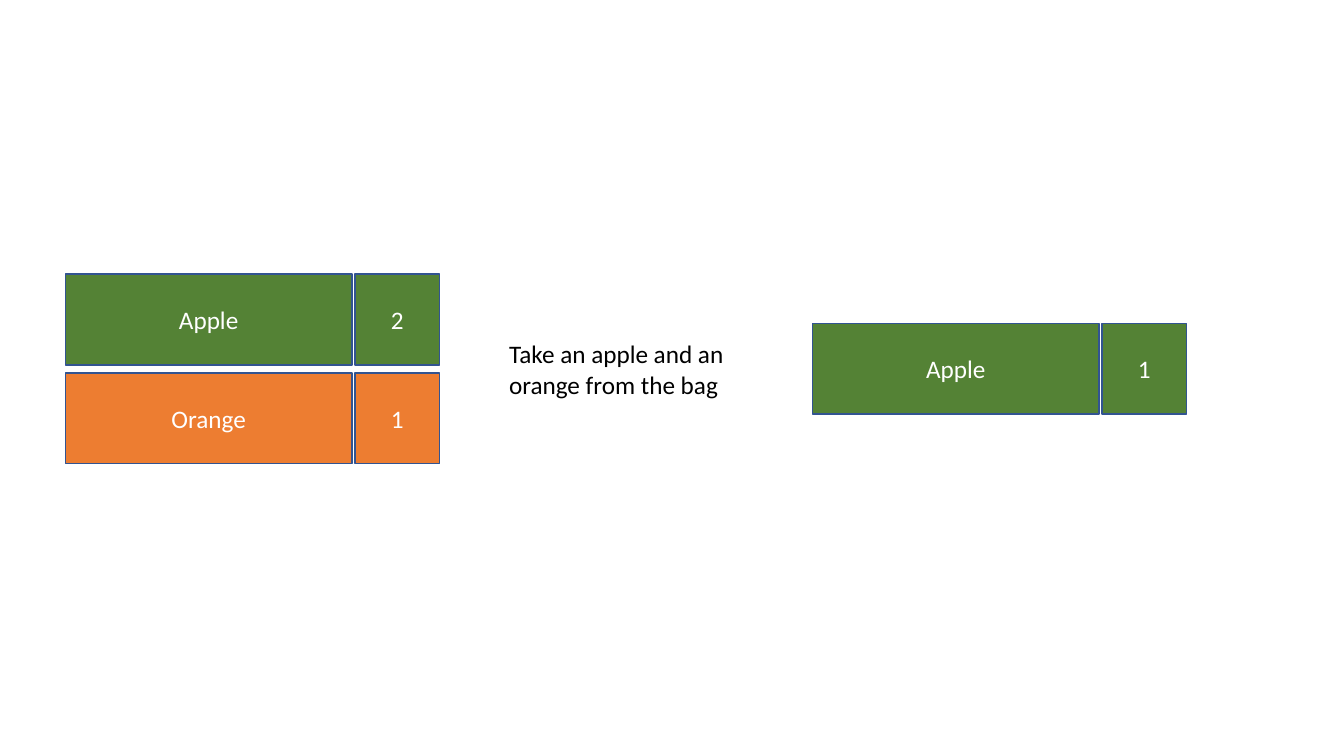
from dataclasses import dataclass
from pptx import Presentation
from pptx.dml.color import RGBColor as Color
from pptx.enum.shapes import MSO_SHAPE as Shape
from pptx.enum.text import MSO_ANCHOR as Anchor, MSO_AUTO_SIZE as AutoSize, PP_ALIGN as Align
from pptx.util import Inches, Pt

BAGS = [
    {"left": 0.65, "top": 2.72, "fruits": [("Apple", "2"), ("Orange", "1")]},
    {"left": 8.06, "top": 3.21, "fruits": [("Apple", "1")]},
]
ACTION = "Take an apple and an orange from the bag"
ACTION_AREA = (4.95, 3.31, 2.52, 0.71)

CELL_WIDTHS = (2.84, 0.84)
CELL_HEIGHT = 0.9
COLUMN_GAP = 0.03
ROW_PITCH = 0.98


@dataclass(frozen=True)
class Theme:
    apple: Color = Color.from_string("548235")
    orange: Color = Color.from_string("ED7D31")
    outline: Color = Color.from_string("325491")
    light: Color = Color.from_string("FFFFFF")
    dark: Color = Color.from_string("000000")
    font: str = "Calibri"
    size: Pt = Pt(18)
    outline_width: Pt = Pt(1)


THEME = Theme()
FILLS = {"Apple": THEME.apple, "Orange": THEME.orange}


def write(box, text, color, align, frame_format):
    frame = box.text_frame
    for name, value in frame_format.items():
        setattr(frame, name, value)
    para = frame.paragraphs[0]
    para.alignment = align
    span = para.add_run()
    span.text = text
    for name, value in {"name": THEME.font, "size": THEME.size}.items():
        setattr(span.font, name, value)
    span.font.color.rgb = color


def add_cell(bag, area, text, fill):
    box = bag.shapes.add_shape(Shape.RECTANGLE, *map(Inches, area))
    box.shadow.inherit = False
    box.fill.solid()
    box.fill.fore_color.rgb = fill
    box.line.color.rgb = THEME.outline
    box.line.width = THEME.outline_width
    write(box, text, THEME.light, Align.CENTER,
          {"word_wrap": True, "vertical_anchor": Anchor.MIDDLE})


def add_bag(page, left, top, fruits):
    bag = page.shapes.add_group_shape()
    for row, fruit in enumerate(fruits):
        x = left
        for text, width in zip(fruit, CELL_WIDTHS):
            area = (x, top + row * ROW_PITCH, width, CELL_HEIGHT)
            add_cell(bag, area, text, FILLS[fruit[0]])
            x += width + COLUMN_GAP


def main():
    deck = Presentation()
    deck.slide_width, deck.slide_height = Inches(13.33), Inches(7.5)
    page = deck.slides.add_slide(deck.slide_layouts[6])
    for bag in BAGS:
        add_bag(page, **bag)
    action = page.shapes.add_textbox(*map(Inches, ACTION_AREA))
    write(action, ACTION, THEME.dark, Align.LEFT,
          {"word_wrap": True, "auto_size": AutoSize.SHAPE_TO_FIT_TEXT})
    deck.save("out.pptx")


if __name__ == "__main__":
    main()
